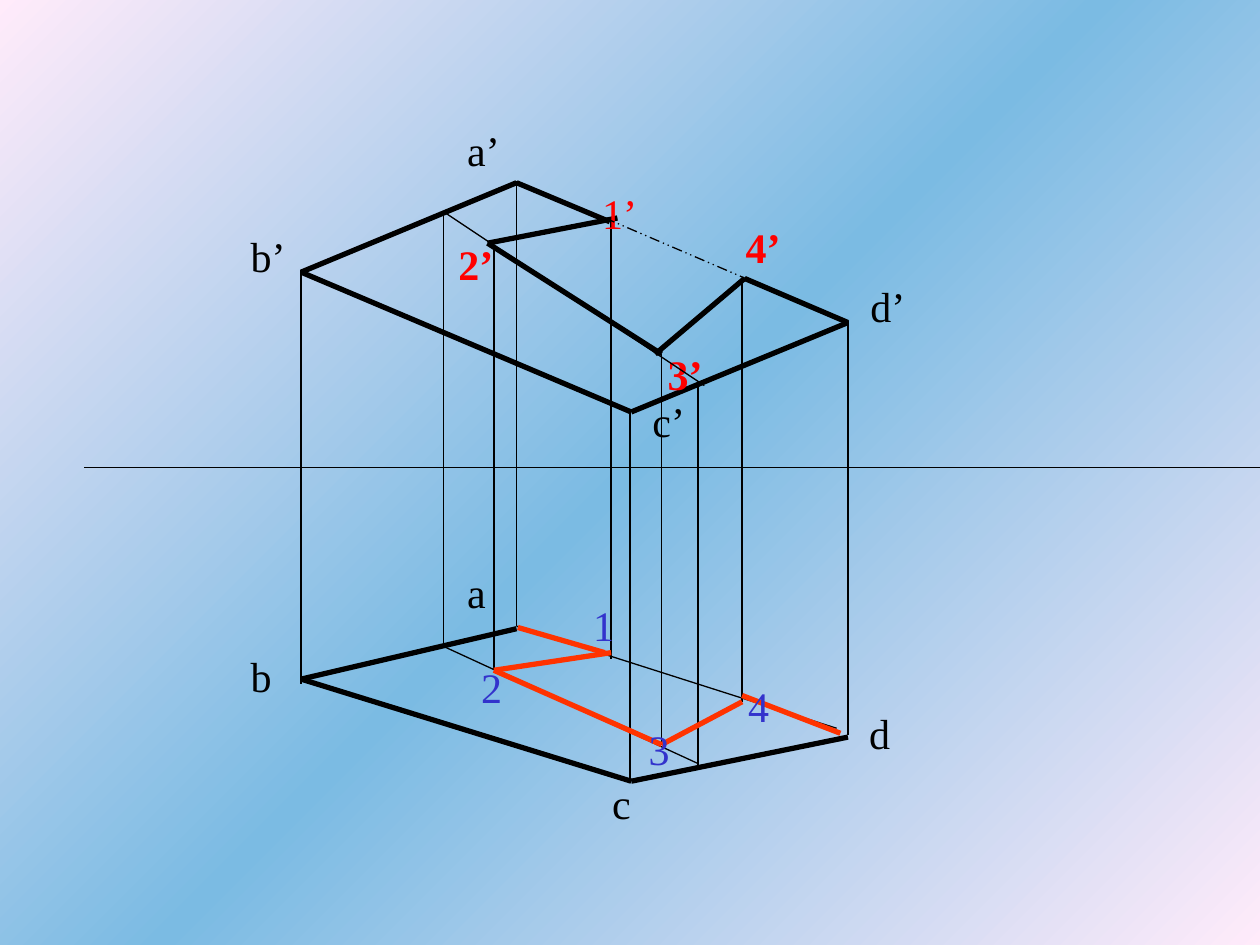
from copy import deepcopy

from lxml import etree
from pptx import Presentation
from pptx.dml.color import RGBColor
from pptx.enum import dml, shapes, text
from pptx.oxml import ns
from pptx.util import Inches, Pt

COLORS = {"edge": "000000", "cut": "FF3300", "front": "FF0000",
          "top": "3333CC", "pale": "FFEBFA", "sky": "7BBBE3"}
FONT = "Times New Roman"
THICK, THIN = 3, 0.75


def rgb(name):
    """Return the palette colour of this name."""
    return RGBColor.from_string(COLORS[name])


def paint_background(slide):
    """Fill the slide with a pale-sky-pale diagonal gradient."""
    fill = slide.background.fill
    fill.gradient()
    fill.gradient_angle = 135
    stops = slide.element.find(".//" + ns.qn("a:gsLst"))
    stops.append(deepcopy(stops[-1]))
    for stop, position, name in zip(fill.gradient_stops, (0, 0.5, 1),
                                    ("pale", "sky", "pale")):
        stop.position = position
        stop.color.rgb = rgb(name)


def draw_lines(slide, box, segments, width, color="edge", dash=None):
    """Draw segments given as x1, y1, x2, y2 offsets from the box corner."""
    left, top = box
    for x1, y1, x2, y2 in segments:
        edge = slide.shapes.add_connector(
            shapes.MSO_CONNECTOR.STRAIGHT, Inches(left + x1), Inches(top + y1),
            Inches(left + x2), Inches(top + y2))
        edge.line.width = Pt(width)
        edge.line.color.rgb = rgb(color)
        if dash:
            edge.line.dash_style = dash
        etree.SubElement(edge._element.spPr, ns.qn("a:effectLst"))


def draw_labels(slide, box, labels, color="edge", bold=()):
    """Write labels given as wording, x, y and width relative to the box."""
    left, top = box
    for wording, x, y, width in labels:
        label = slide.shapes.add_textbox(
            Inches(left + x), Inches(top + y), Inches(width), Inches(0.5))
        frame = label.text_frame
        frame.text = wording
        frame.word_wrap = False
        frame.auto_size = text.MSO_AUTO_SIZE.SHAPE_TO_FIT_TEXT
        font = frame.paragraphs[0].runs[0].font
        font.name, font.size = FONT, Pt(24)
        font.bold = wording in bold
        font.color.rgb = rgb(color)


def draw_projectors(slide, box):
    """Draw the axis and the vertical lines that link both views."""
    draw_lines(slide, box, [(-1.33, 2.71, 8, 2.71)], THIN)
    spans = [(0.39, 1.14, 4.43), (3, 2.26, 5.19), (4.73, 1.55, 4.83),
             (2.1, 0.44, 3.97), (1.52, 0.68, 4.13), (3.54, 2.06, 5.11),
             (1.92, 0.98, 4.32), (3.25, 1.81, 4.91), (2.85, 0.73, 4.23),
             (3.89, 1.22, 4.57)]
    draw_lines(slide, box, [(x, y1, x, y2) for x, y1, y2 in spans], THIN)


def draw_front_view(slide, box):
    """Draw the upper projection with its notch and labels."""
    a, b, c, d = (2.1, 0.45), (0.39, 1.16), (3.01, 2.27), (4.73, 1.56)
    notch_2, notch_3, notch_4 = (1.87, 0.93), (3.2, 1.81), (3.91, 1.21)
    draw_lines(slide, box, [
        c + d, b + c, a + (2.84, 0.76), b + a, notch_2 + (2.9, 0.73),
        notch_3 + notch_4, notch_2 + (3.25, 1.81), notch_4 + d], THICK)
    draw_labels(slide, box, [
        ("a’", 1.61, -0.06, 0.46), ("b’", -0.11, 0.78, 0.48),
        ("c’", 3.08, 2.09, 0.46), ("d’", 4.81, 1.18, 0.48)])
    draw_labels(slide, box, [
        ("1’", 2.68, 0.44, 0.48), ("2’", 1.54, 0.84, 0.48),
        ("3’", 3.2, 1.72, 0.48), ("4’", 3.82, 0.71, 0.48)],
        "front", bold=("2’", "3’", "4’"))
    draw_lines(slide, box, [(2.8, 0.73, 3.94, 1.22)], THIN,
               dash=dml.MSO_LINE.DASH_DOT_DOT)
    draw_lines(slide, box, [(1.52, 0.68, 3.59, 2.06)], THIN)


def draw_top_view(slide, box):
    """Draw the lower projection with its cut edges and labels."""
    a, b, c, d = (2.1, 0.99), (0.39, 1.39), (3.01, 2.2), (4.73, 1.85)
    cut_2, cut_3 = (1.92, 1.32), (3.25, 1.91)
    draw_lines(slide, box, [b + c, b + a, c + d], THICK)
    draw_labels(slide, box, [
        ("a", 1.61, 0.45, 0.35), ("b", -0.11, 1.11, 0.36),
        ("c", 2.76, 2.12, 0.35), ("d", 4.8, 1.57, 0.36)])
    draw_lines(slide, box, [(2.1, 0.97, 4.64, 1.78),
                            (1.52, 1.13, 3.54, 2.06)], THIN)
    draw_lines(slide, box, [
        (2.85, 1.18) + cut_2, (3.89, 1.57) + cut_3, cut_3 + cut_2,
        (2.11, 0.98, 2.8, 1.18), (3.89, 1.52, 4.67, 1.82)], THICK, "cut")
    draw_labels(slide, box, [
        ("1", 2.61, 0.71, 0.36), ("2", 1.72, 1.2, 0.36),
        ("3", 3.05, 1.69, 0.36), ("4", 3.84, 1.35, 0.36)], "top")


def main():
    """Build the slide and save it."""
    deck = Presentation()
    deck.slide_width, deck.slide_height = Inches(10), Inches(7.5)
    slide = deck.slides.add_slide(deck.slide_layouts[6])
    paint_background(slide)
    draw_projectors(slide, (2, 1))
    draw_front_view(slide, (2, 1))
    draw_top_view(slide, (2, 4))
    deck.save("out.pptx")


if __name__ == "__main__":
    main()
